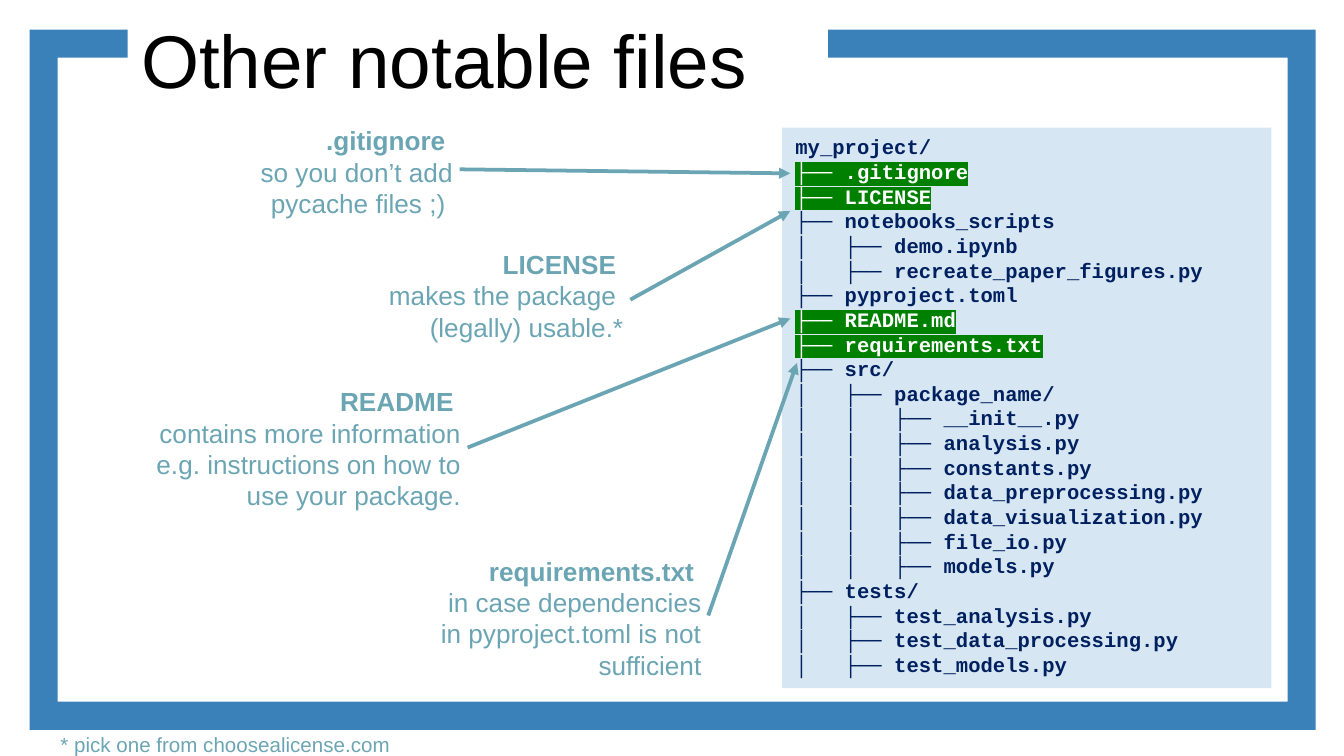
from lxml import etree
from pptx import Presentation
from pptx.dml.color import RGBColor
from pptx.enum import shapes, text
from pptx.oxml import ns
from pptx.util import Inches, Pt

BLUE = RGBColor(0x3A, 0x81, 0xBA)
PALE = RGBColor(0xD6, 0xE6, 0xF2)
NAVY = RGBColor(0x00, 0x20, 0x60)
TEAL = RGBColor(0x6B, 0xA5, 0xB3)
WHITE = RGBColor(0xFF, 0xFF, 0xFF)
BLACK = RGBColor(0x00, 0x00, 0x00)
GREEN = RGBColor(0x00, 0x80, 0x00)

TREE = """my_project/
├── .gitignore
├── LICENSE
├── notebooks_scripts
│   ├── demo.ipynb
│   ├── recreate_paper_figures.py
├── pyproject.toml
├── README.md
├── requirements.txt
├── src/
│   ├── package_name/
│   │   ├── __init__.py
│   │   ├── analysis.py
│   │   ├── constants.py
│   │   ├── data_preprocessing.py
│   │   ├── data_visualization.py
│   │   ├── file_io.py
│   │   ├── models.py
├── tests/
│   ├── test_analysis.py
│   ├── test_data_processing.py
│   ├── test_models.py"""

# Heading, paragraphs, box (left, top, height), arrow tip
NOTES = [
    ("LICENSE ", ["makes the package \v(legally) usable.*"],
     (2.16, 1.8, 0.86), (5.88, 1.57)),
    ("README ", ["contains more information e.g. instructions on how to use your package."],
     (0.95, 2.82, 1.02), (5.88, 2.37)),
    (".gitignore ", ["so you don’t add", "pycache files ;) "],
     (0.89, 0.88, 0.76), (5.88, 1.29)),
    ("requirements.txt ", ["in case dependencies", "in pyproject.toml is not", "sufficient"],
     (2.74, 4.08, 1.0), (5.93, 2.7)),
]
NOTE_WIDTH = 2.53


def add_span(para, words, size, color, name="Arial", bold=False):
    span = para.add_run()
    span.text = words
    for key, value in {"size": Pt(size), "name": name, "bold": bold}.items():
        setattr(span.font, key, value)
    span.font.color.rgb = color
    return span


def format_frame(box, inset, wrap=True):
    frame = box.text_frame
    for side in ("left", "right", "top", "bottom"):
        setattr(frame, f"margin_{side}", Inches(inset))
    values = {"auto_size": text.MSO_AUTO_SIZE.NONE, "word_wrap": wrap,
              "vertical_anchor": text.MSO_ANCHOR.TOP}
    for key, value in values.items():
        setattr(frame, key, value)
    return frame


deck = Presentation()
deck.slide_width = Inches(10)
deck.slide_height = deck.slide_width * 9 // 16
page = deck.slides.add_slide(deck.slide_layouts[5])

# Border, placed behind the title
border = page.shapes.add_shape(shapes.MSO_SHAPE.FRAME, Inches(0.22), Inches(0.22),
                               Inches(9.57), Inches(5.21))
border.adjustments[0] = 0.04
border.fill.solid()
border.fill.fore_color.rgb = BLUE
border.line.fill.background()
border.shadow.inherit = False

# Title covers part of the border
title = page.shapes.title
for key, value in {"left": 0.95, "top": 0, "width": 5.21, "height": 1}.items():
    setattr(title, key, Inches(value))
title.fill.solid()
title.fill.fore_color.rgb = WHITE
frame = format_frame(title, 0.1)
frame.paragraphs[0].alignment = text.PP_ALIGN.LEFT
add_span(frame.paragraphs[0], "Other notable files", 40, BLACK)
border.element.addnext(title.element)

# Project tree
panel = page.shapes.add_shape(shapes.MSO_SHAPE.RECTANGLE, Inches(5.82), Inches(0.95),
                              Inches(3.64), Inches(4.17))
panel.fill.solid()
panel.fill.fore_color.rgb = PALE
panel.line.fill.background()
panel.shadow.inherit = False
frame = format_frame(panel, 0.05)
frame.margin_left = frame.margin_right = Inches(0.1)
marked = {heading.strip() for heading, *rest in NOTES} | {"README.md"}
for number, line in enumerate(TREE.splitlines()):
    para = frame.add_paragraph() if number else frame.paragraphs[0]
    para.alignment = text.PP_ALIGN.LEFT
    notable = line.split()[-1] in marked
    span = add_span(para, line, 11, WHITE if notable else NAVY, "Courier New", True)
    if notable:
        highlight = etree.Element(ns.qn("a:highlight"))
        etree.SubElement(highlight, ns.qn("a:srgbClr"), val=str(GREEN))
        span.font._element.find(ns.qn("a:solidFill")).addnext(highlight)

# Footnote
footnote = page.shapes.add_textbox(Inches(0.4), Inches(5.4), Inches(2.56), Inches(0.26))
frame = format_frame(footnote, 0.05, wrap=False)
add_span(frame.paragraphs[0], "* pick one from choosealicense.com", 11, TEAL)

# Notes with arrows into the tree
for heading, lines, (left, top, height), (tip_x, tip_y) in NOTES:
    note = page.shapes.add_textbox(Inches(left), Inches(top), Inches(NOTE_WIDTH), Inches(height))
    frame = format_frame(note, 0.05)
    para = frame.paragraphs[0]
    add_span(para, heading, 14, TEAL, bold=True)
    para.add_line_break()
    for number, line in enumerate(lines):
        para = frame.add_paragraph() if number else para
        para.alignment = text.PP_ALIGN.RIGHT
        for part, words in enumerate(line.split("\v")):
            if part:
                para.add_line_break()
            add_span(para, words, 14, TEAL)

    arrow = page.shapes.add_connector(shapes.MSO_CONNECTOR.STRAIGHT,
                                      Inches(left + NOTE_WIDTH), Inches(top + height / 2),
                                      Inches(tip_x), Inches(tip_y))
    arrow.begin_connect(note, 3)
    arrow.line.color.rgb = TEAL
    arrow.line.width = Pt(2)
    etree.SubElement(arrow.line._get_or_add_ln(), ns.qn("a:tailEnd"), type="triangle")
    etree.SubElement(arrow.element.spPr, ns.qn("a:effectLst"))

deck.save("out.pptx")
